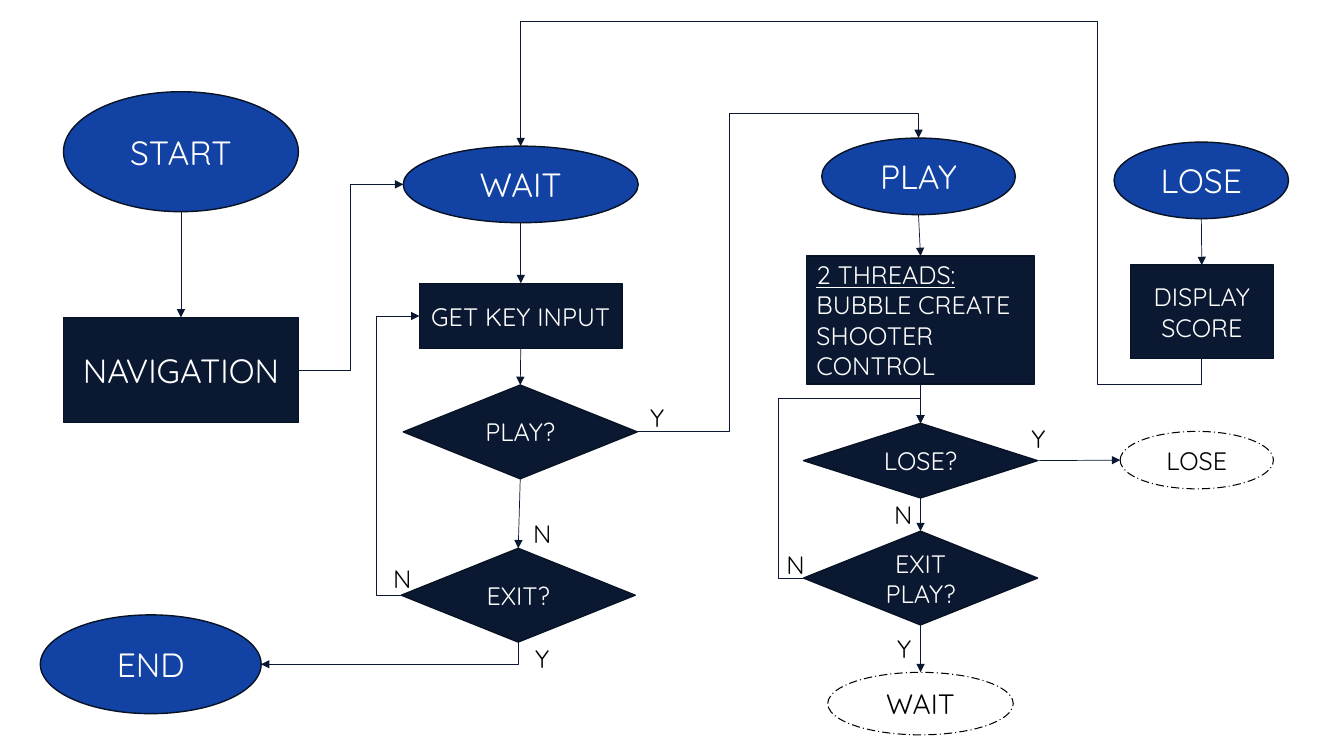
from lxml import etree
from pptx import Presentation
from pptx.dml.color import RGBColor
from pptx.enum.dml import MSO_LINE
from pptx.enum.shapes import MSO_CONNECTOR as LINK, MSO_SHAPE as SHAPE
from pptx.enum.text import MSO_ANCHOR, PP_ALIGN
from pptx.oxml.ns import qn
from pptx.util import Inches, Pt

COLORS = {"state": "1243A4", "step": "0A1931", "outline": "071224",
          "light": "FFFFFF", "dark": "000000"}
FONT = "Quicksand"
TOP, LEFT, BOTTOM, RIGHT = range(4)
DECISION_W, DECISION_H = 2.32, 0.93


def rgb(name):
    return RGBColor.from_string(COLORS[name])


def write(frame, *lines, size=18, color="light", align=PP_ALIGN.CENTER,
          underline_first=False, wrap=True, anchor=MSO_ANCHOR.MIDDLE):
    frame.word_wrap = wrap
    frame.vertical_anchor = anchor
    for i, line in enumerate(lines):
        paragraph = frame.paragraphs[0] if i == 0 else frame.add_paragraph()
        paragraph.alignment = align
        run = paragraph.add_run()
        run.text = line
        run.font.name, run.font.size = FONT, Pt(size)
        run.font.color.rgb = rgb(color)
        if underline_first and i == 0:
            run.font.underline = True


def add_node(slide, kind, box, *lines, fill="step", **text_format):
    node = slide.shapes.add_shape(kind, *map(Inches, box))
    node.shadow.inherit = False
    node.fill.solid()
    node.fill.fore_color.rgb = rgb(fill)
    node.line.color.rgb = rgb("outline")
    node.line.width = Pt(1)
    write(node.text_frame, *lines, **text_format)
    return node


def add_state(slide, box, name):
    return add_node(slide, SHAPE.OVAL, box, name, fill="state", size=24)


def add_decision(slide, left, top, question, height=DECISION_H):
    return add_node(slide, SHAPE.FLOWCHART_DECISION,
                    (left, top, DECISION_W, height), question)


def add_jump(slide, box, name, size):
    """Dashed ellipse that refers to a state drawn elsewhere."""
    jump = add_node(slide, SHAPE.OVAL, box, name, size=size, color="dark")
    jump.fill.background()
    jump.line.color.rgb = rgb("dark")
    jump.line.width = Pt(0.75)
    jump.line.dash_style = MSO_LINE.LONG_DASH_DOT
    return jump


def add_answer(slide, left, top, letter):
    label = slide.shapes.add_textbox(*map(Inches, (left, top, 0.32, 0.4)))
    write(label.text_frame, letter, color="dark", align=PP_ALIGN.LEFT,
          wrap=letter == "N", anchor=MSO_ANCHOR.TOP)


def add_arrow(slide, source, source_side, target, target_side, kind=LINK.STRAIGHT):
    arrow = slide.shapes.add_connector(kind, 0, 0, 0, 0)
    arrow.begin_connect(source, source_side)
    arrow.end_connect(target, target_side)
    # An ellipse has eight connection sites, so its side sites are every second one
    for tag, node, side in (("a:stCxn", source, source_side),
                            ("a:endCxn", target, target_side)):
        if node.auto_shape_type == SHAPE.OVAL:
            next(arrow._element.iter(qn(tag))).set("idx", str(2 * side))
    arrow.line.color.rgb = rgb("step")
    arrow.line.width = Pt(0.5)
    etree.SubElement(arrow.line._get_or_add_ln(), qn("a:tailEnd"), type="triangle")
    etree.SubElement(arrow._element.spPr, qn("a:effectLst"))
    return arrow


def add_bent_arrow(slide, source, source_side, target, target_side,
                   bends, adjust=(), turn=0, flip=""):
    arrow = add_arrow(slide, source, source_side, target, target_side, LINK.ELBOW)
    if turn == 90:  # the frame is stored unturned, around the same centre
        shift = (arrow.width - arrow.height) // 2
        arrow.left, arrow.top = arrow.left + shift, arrow.top - shift
        arrow.width, arrow.height = arrow.height, arrow.width
    frame = arrow._element.spPr.find(qn("a:xfrm"))
    for axis in "HV":
        frame.set("flip" + axis, str(int(axis == flip)))
    frame.set("rot", str(turn * 60000))
    geometry = arrow._element.spPr.find(qn("a:prstGeom"))
    geometry.set("prst", f"bentConnector{bends}")
    guides = geometry.get_or_add_avLst()
    for i, share in enumerate(adjust, 1):
        etree.SubElement(guides, qn("a:gd"), name=f"adj{i}",
                         fmla=f"val {round(share * 100000)}")


def draw_start_region(slide, x, y):
    start = add_state(slide, (x + 0.23, y, 2.33, 1.19), "START")
    navigation = add_node(slide, SHAPE.RECTANGLE, (x + 0.23, y + 2.24, 2.33, 1.04),
                          "NAVIGATION", size=24)
    end = add_state(slide, (x, y + 5.19, 2.19, 0.98), "END")
    add_arrow(slide, start, BOTTOM, navigation, TOP)
    return navigation, end


def draw_wait_region(slide, x, y):
    wait = add_state(slide, (x + 0.02, y, 2.33, 0.76), "WAIT")
    key_input = add_node(slide, SHAPE.RECTANGLE, (x + 0.18, y + 1.36, 2.01, 0.65),
                         "GET KEY INPUT")
    ask_play = add_decision(slide, x + 0.02, y + 2.37, "PLAY?")
    ask_exit = add_decision(slide, x, y + 3.99, "EXIT?")
    steps = [wait, key_input, ask_play, ask_exit]
    for upper, lower in zip(steps, steps[1:]):
        add_arrow(slide, upper, BOTTOM, lower, TOP)
    add_bent_arrow(slide, ask_exit, LEFT, key_input, LEFT, 3, (-1.398,), 180, "H")
    for dx, dy, letter in ((2.37, 2.49, "Y"), (1.21, 3.64, "N"),
                           (-0.18, 4.09, "N"), (1.23, 4.88, "Y")):
        add_answer(slide, x + dx, y + dy, letter)
    return wait, ask_play, ask_exit


def draw_play_region(slide, x, y):
    play = add_state(slide, (x + 0.18, y, 1.92, 0.76), "PLAY")
    threads = add_node(slide, SHAPE.RECTANGLE, (x + 0.03, y + 1.17, 2.26, 1.27),
                       "2 THREADS:", "BUBBLE CREATE", "SHOOTER CONTROL",
                       align=PP_ALIGN.LEFT, underline_first=True)
    ask_lose = add_decision(slide, x, y + 2.83, "LOSE?", height=0.74)
    ask_exit = add_decision(slide, x, y + 3.9, "EXIT PLAY?")
    to_wait = add_jump(slide, (x + 0.24, y + 5.3, 1.84, 0.62), "WAIT", 20)
    steps = [play, threads, ask_lose, ask_exit, to_wait]
    for upper, lower in zip(steps, steps[1:]):
        add_arrow(slide, upper, BOTTOM, lower, TOP)
    add_bent_arrow(slide, ask_exit, LEFT, ask_lose, TOP, 4, (-0.216, 1.163), 180, "H")
    for dx, dy, letter in ((2.16, 2.78, "Y"), (0.8, 3.53, "N"),
                           (-0.27, 4.03, "N"), (0.83, 4.86, "Y")):
        add_answer(slide, x + dx, y + dy, letter)
    return play, ask_lose


def draw_lose_region(slide, x, y):
    lose = add_state(slide, (x, y, 1.73, 0.76), "LOSE")
    score = add_node(slide, SHAPE.RECTANGLE, (x + 0.16, y + 1.22, 1.42, 0.93),
                     "DISPLAY SCORE")
    to_lose = add_jump(slide, (x + 0.06, y + 2.87, 1.52, 0.57), "LOSE", 18)
    add_arrow(slide, lose, BOTTOM, score, TOP)
    return score, to_lose


def draw_flowchart(slide):
    navigation, end = draw_start_region(slide, 0.4, 0.91)
    wait, ask_play, ask_exit = draw_wait_region(slide, 3.98, 1.45)
    play, ask_lose = draw_play_region(slide, 7.97, 1.37)
    score, to_lose = draw_lose_region(slide, 11.05, 1.41)
    # Arrows between the regions
    add_arrow(slide, ask_lose, RIGHT, to_lose, LEFT)
    add_bent_arrow(slide, navigation, RIGHT, wait, LEFT, 3, (0.5,), flip="V")
    add_bent_arrow(slide, ask_play, RIGHT, play, TOP, 4, (0.328, 1.085), flip="V")
    add_bent_arrow(slide, score, BOTTOM, wait, TOP, 5, (-0.118, 0.153, 1.587), 90, "H")
    add_bent_arrow(slide, ask_exit, BOTTOM, end, RIGHT, 2, turn=90)


def main():
    deck = Presentation()
    deck.slide_width, deck.slide_height = Inches(13.33), Inches(7.5)
    draw_flowchart(deck.slides.add_slide(deck.slide_layouts[6]))
    deck.save("out.pptx")


if __name__ == "__main__":
    main()
